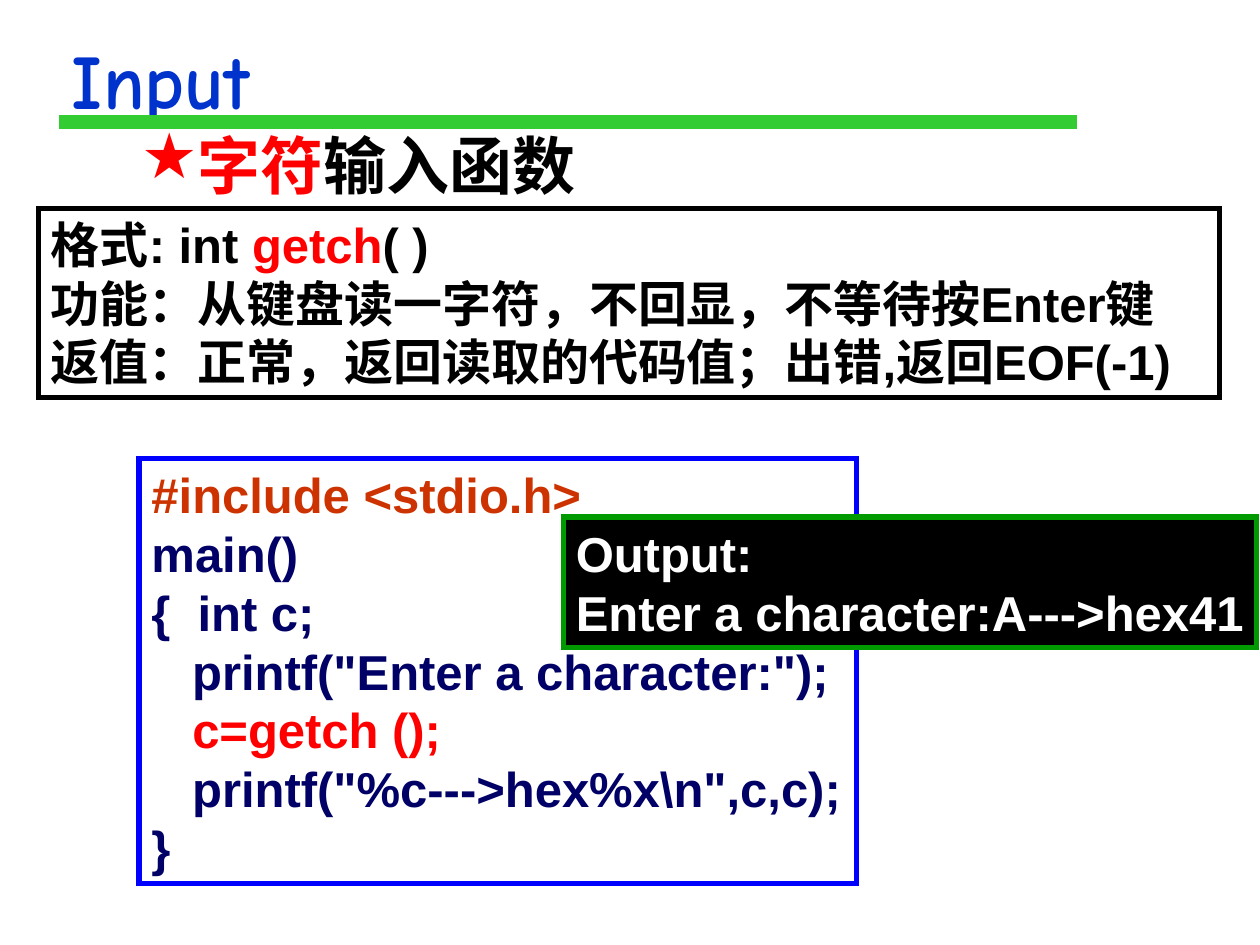
import pptx
import pptx.util
import pptx.dml.color
import pptx.enum.shapes
import pptx.enum.text
from dataclasses import dataclass
from lxml import etree

Pt = pptx.util.Pt
RGB = pptx.dml.color.RGBColor.from_string


@dataclass(frozen=True)
class Theme:
    body_font: str = "Arial"
    title_font: str = "Comic Neue"
    title_size: int = 44
    heading_size: int = 36
    body_size: int = 28
    leading: float = 1.2
    frame_width: int = 3
    rule_width: int = 8
    title: str = "0033CC"
    rule: str = "33CC33"
    ink: str = "000000"
    paper: str = "FFFFFF"
    accent: str = "FF0000"
    code: str = "000066"
    directive: str = "CC3300"
    code_frame: str = "0000FF"
    output_frame: str = "009900"


THEME = Theme()


def write_lines(frame, lines, size, font=THEME.body_font, leading=THEME.leading):
    """Fill a text frame; each line is a list of (text, colour) spans."""
    for index, line in enumerate(lines):
        para = frame.paragraphs[0] if index == 0 else frame.add_paragraph()
        para.alignment = pptx.enum.text.PP_ALIGN.LEFT
        if leading:
            para.line_spacing = Pt(size * leading)
        for text, colour in line:
            span = para.add_run()
            span.text = text
            span.font.name = font
            span.font.size = Pt(size)
            span.font.bold = True
            span.font.color.rgb = RGB(colour)


def fit_to_text(frame):
    frame.word_wrap = False
    frame.auto_size = pptx.enum.text.MSO_AUTO_SIZE.SHAPE_TO_FIT_TEXT
    frame.vertical_anchor = pptx.enum.text.MSO_ANCHOR.TOP


def add_title(page, box, text):
    """Title with the green rule that crosses its lower part."""
    left, top, width, height = box
    frame = page.shapes.add_textbox(*map(Pt, box)).text_frame
    frame.word_wrap = True
    frame.vertical_anchor = pptx.enum.text.MSO_ANCHOR.MIDDLE
    write_lines(frame, [[(text, THEME.title)]], THEME.title_size,
                THEME.title_font, leading=None)

    rule_y = Pt(top + height - 20)
    rule = page.shapes.add_connector(
        pptx.enum.shapes.MSO_CONNECTOR.STRAIGHT,
        Pt(left), rule_y, Pt(left + width - 42.5), rule_y)
    rule.line.color.rgb = RGB(THEME.rule)
    rule.line.width = Pt(THEME.rule_width)
    etree.SubElement(rule._element.spPr, pptx.oxml.ns.qn("a:effectLst"))


def add_heading(page, box, spans):
    """Heading with a hanging star bullet."""
    frame = page.shapes.add_textbox(*map(Pt, box)).text_frame
    fit_to_text(frame)
    properties = frame.paragraphs[0]._p.get_or_add_pPr()
    properties.set("marL", str(Pt(58.5)))
    properties.set("indent", str(Pt(-22.5)))
    colour = etree.SubElement(properties, pptx.oxml.ns.qn("a:buClr"))
    etree.SubElement(colour, pptx.oxml.ns.qn("a:srgbClr"), val=THEME.accent)
    etree.SubElement(properties, pptx.oxml.ns.qn("a:buChar"), char="★")
    write_lines(frame, [spans], THEME.heading_size)


def add_panel(page, box, lines, frame_colour, fill=None):
    """Square-cornered frame of body text, unfilled unless a fill is given."""
    panel = page.shapes.add_shape(
        pptx.enum.shapes.MSO_SHAPE.RECTANGLE, *map(Pt, box))
    panel.shadow.inherit = False
    if fill:
        panel.fill.solid()
        panel.fill.fore_color.rgb = RGB(fill)
    else:
        panel.fill.background()
    panel.line.color.rgb = RGB(frame_colour)
    panel.line.width = Pt(THEME.frame_width)
    outline = panel._element.spPr.find(pptx.oxml.ns.qn("a:ln"))
    etree.SubElement(outline, pptx.oxml.ns.qn("a:miter"), lim="800000")
    fit_to_text(panel.text_frame)
    write_lines(panel.text_frame, lines, THEME.body_size)


def main():
    deck = pptx.Presentation()
    deck.slide_width, deck.slide_height = Pt(720), Pt(540)
    page = deck.slides.add_slide(deck.slide_layouts[6])

    add_title(page, (34, 0, 624, 90), "Input")
    add_panel(page, (79.5, 262, 410, 243), [
        [("#include <stdio.h>", THEME.directive)],
        [("main()", THEME.code)],
        [("{  int c;", THEME.code)],
        [('   printf("Enter a character:");', THEME.code)],
        [("   ", THEME.code), ("c=getch ();", THEME.accent)],
        [('   printf("%c--->hex%x\\n",c,c);', THEME.code)],
        [("}", THEME.code)],
    ], THEME.code_frame, THEME.paper)
    add_panel(page, (322, 295.5, 396, 74.5), [
        [("Output:", THEME.paper)],
        [("Enter a character:A--->hex41", THEME.paper)],
    ], THEME.output_frame, THEME.ink)
    add_heading(page, (37.5, 68.5, 317, 50.5),
                [("字符", THEME.accent), ("输入函数", THEME.ink)])
    add_panel(page, (22, 119, 675, 108), [
        [("格式: int ", THEME.ink), ("getch", THEME.accent), ("( )", THEME.ink)],
        [("功能：从键盘读一字符，不回显，不等待按Enter键", THEME.ink)],
        [("返值：正常，返回读取的代码值；出错,返回EOF(-1)", THEME.ink)],
    ], THEME.ink)

    deck.save("out.pptx")


if __name__ == "__main__":
    main()
